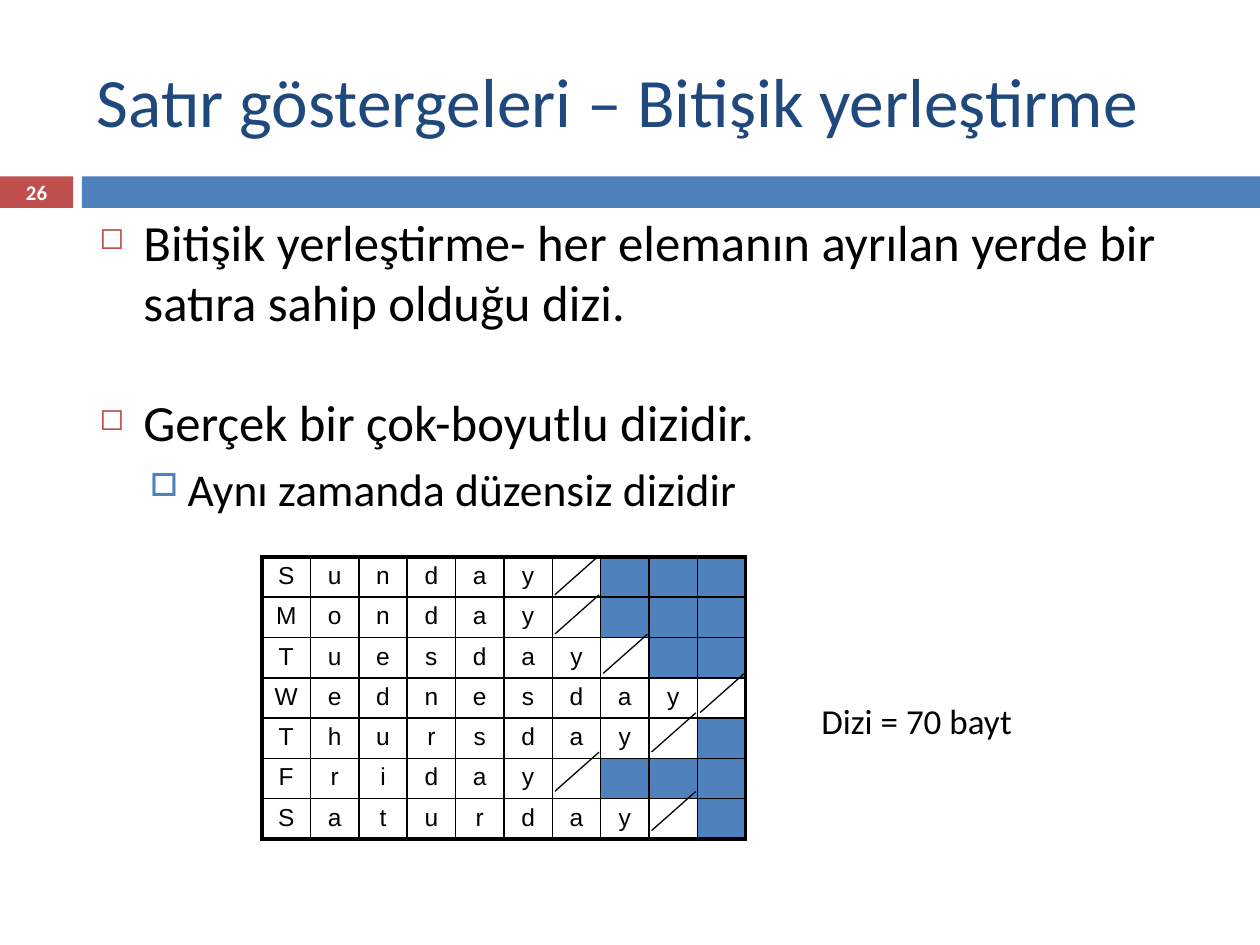
"""Build a slide on contiguous row placement of a ragged array of day names."""
from dataclasses import dataclass

import lxml.etree
import pptx
import pptx.dml.color
import pptx.enum.shapes
import pptx.enum.text
import pptx.oxml.ns
import pptx.util

COLORS = {
    "title": "1F497D",
    "blue": "4F81BD",
    "red": "C0504D",
    "black": "000000",
    "white": "FFFFFF",
}
UNIT = pptx.util.Inches(0.1)
DAYS = ["Sunday", "Monday", "Tuesday", "Wednesday", "Thursday", "Friday", "Saturday"]
LETTER_COLUMNS = 10
THIN, THICK = 1, 2.25
ANCHOR = pptx.enum.text.MSO_ANCHOR
ALIGN = pptx.enum.text.PP_ALIGN


@dataclass(frozen=True)
class Area:
    """A place on a grid of 100 columns and 75 rows."""
    left: float
    top: float
    width: float
    height: float

    def lengths(self) -> list[int]:
        return [round(n * UNIT) for n in (self.left, self.top, self.width, self.height)]


@dataclass(frozen=True)
class Bar:
    area: Area
    color: str


@dataclass(frozen=True)
class Point:
    text: str
    size: float
    level: int
    before: float
    margin: float
    hanging: float
    bullet: str
    bullet_color: str
    bullet_share: int


BARS = [Bar(Area(0, 14, 5.8, 2.5), "red"), Bar(Area(6.5, 14, 93.5, 2.5), "blue")]
POINTS = [
    Point("Bitişik yerleştirme- her elemanın ayrılan yerde bir satıra sahip olduğu dizi.",
          29, 0, 0, 0.35, 0.35, "◻", "red", 60),
    Point("Gerçek bir çok-boyutlu dizidir.", 29, 0, 33.5, 0.35, 0.35, "◻", "red", 60),
    Point("Aynı zamanda düzensiz dizidir", 26, 1, 5.5, 0.7, 0.3, "□", "blue", 70),
]
GRID = Area(20.8, 44.2, 38.4, 22.4)
SLASH = Area(0.2, -0.1, 3.5, 3.1)
SLASH_PITCH = 3.12


def rgb(name: str) -> pptx.dml.color.RGBColor:
    return pptx.dml.color.RGBColor.from_string(COLORS[name])


def add_element(parent, tag: str, **attributes: str):
    return lxml.etree.SubElement(parent, pptx.oxml.ns.qn(tag), attributes)


def write(para, text: str, *, size: float, color: str = "black",
          font: str = "Calibri", bold: bool = False, align=None) -> None:
    para.alignment = align
    span = para.add_run()
    span.text = text
    span.font.name = font
    span.font.size = pptx.util.Pt(size)
    span.font.bold = bold
    span.font.color.rgb = rgb(color)


def add_box(page, area: Area, anchor=ANCHOR.TOP):
    frame = page.shapes.add_textbox(*area.lengths()).text_frame
    frame.word_wrap = True
    frame.vertical_anchor = anchor
    return frame


def add_bar(page, bar: Bar) -> None:
    shape = page.shapes.add_shape(
        pptx.enum.shapes.MSO_SHAPE.RECTANGLE, *bar.area.lengths())
    shape.shadow.inherit = False
    shape.fill.solid()
    shape.fill.fore_color.rgb = rgb(bar.color)
    shape.line.fill.background()


def add_point(para, point: Point) -> None:
    para.level = point.level
    if point.before:
        para.space_before = pptx.util.Pt(point.before)
    properties = para._p.get_or_add_pPr()
    properties.set("marL", str(pptx.util.Inches(point.margin)))
    properties.set("indent", str(-pptx.util.Inches(point.hanging)))
    color = add_element(properties, "a:buClr")
    add_element(color, "a:srgbClr", val=COLORS[point.bullet_color])
    add_element(properties, "a:buSzPct", val=str(point.bullet_share * 1000))
    add_element(properties, "a:buChar", char=point.bullet)
    write(para, point.text, size=point.size)


def set_borders(cell, widths: dict[str, float]) -> None:
    properties = cell._tc.get_or_add_tcPr()
    for side, width in widths.items():
        line = add_element(properties, f"a:ln{side}", w=str(pptx.util.Pt(width)))
        fill = add_element(line, "a:solidFill")
        add_element(fill, "a:srgbClr", val=COLORS["black"])


def fill_cell(cell, row: int, column: int) -> None:
    day = DAYS[row]
    cell.margin_left = cell.margin_right = cell.margin_top = cell.margin_bottom = 0
    cell.vertical_anchor = ANCHOR.MIDDLE
    set_borders(cell, {
        "L": THICK if column == 0 else THIN,
        "R": THICK if column == LETTER_COLUMNS - 1 else THIN,
        "T": THICK if row == 0 else THIN,
        "B": THICK if row == len(DAYS) - 1 else THIN,
    })
    if column > len(day):
        cell.fill.solid()
        cell.fill.fore_color.rgb = rgb("blue")
    else:
        cell.fill.background()
    if column < len(day):
        para = cell.text_frame.paragraphs[0]
        para.line_spacing = 0.9
        write(para, day[column], size=14, font="Arial", align=ALIGN.CENTER)


def add_letter_table(page) -> None:
    table = page.shapes.add_table(len(DAYS), LETTER_COLUMNS, *GRID.lengths()).table
    table.first_row = table.horz_banding = False
    for column in table.columns:
        column.width = round(GRID.width * UNIT / LETTER_COLUMNS)
    for row in table.rows:
        row.height = round(GRID.height * UNIT / len(DAYS))
    for row in range(len(DAYS)):
        for column in range(LETTER_COLUMNS):
            fill_cell(table.cell(row, column), row, column)


def add_end_mark(page, row: int, column: int) -> None:
    left, top, width, height = Area(
        GRID.left + column * GRID.width / LETTER_COLUMNS + SLASH.left,
        GRID.top + row * SLASH_PITCH + SLASH.top,
        SLASH.width, SLASH.height).lengths()
    line = page.shapes.add_connector(
        pptx.enum.shapes.MSO_CONNECTOR.STRAIGHT, left + width, top, left, top + height)
    line.line.color.rgb = rgb("black")
    line.line.width = pptx.util.Pt(0.75)
    add_element(line._element.spPr, "a:effectLst")


def main() -> None:
    deck = pptx.Presentation()
    deck.slide_width, deck.slide_height = 100 * UNIT, 75 * UNIT
    page = deck.slides.add_slide(deck.slide_layouts[6])
    for bar in BARS:
        add_bar(page, bar)
    title = add_box(page, Area(6.7, 2.5, 89.2, 10.8), ANCHOR.MIDDLE)
    write(title.paragraphs[0], "Satır göstergeleri – Bitişik yerleştirme",
          size=39.6, color="title")
    body = add_box(page, Area(6.9, 16.2, 88.5, 26.4))
    for index, point in enumerate(POINTS):
        add_point(body.add_paragraph() if index else body.paragraphs[0], point)
    add_letter_table(page)
    for row, day in enumerate(DAYS):
        add_end_mark(page, row, len(day))
    note = add_box(page, Area(64.2, 55, 23.3, 4.3))
    write(note.paragraphs[0], "Dizi = 70 bayt", size=20)
    number = add_box(page, Area(0, 13.9, 5.8, 2.7), ANCHOR.MIDDLE)
    write(number.paragraphs[0], "26", size=11.9, color="white", bold=True,
          align=ALIGN.CENTER)
    deck.save("out.pptx")


if __name__ == "__main__":
    main()
